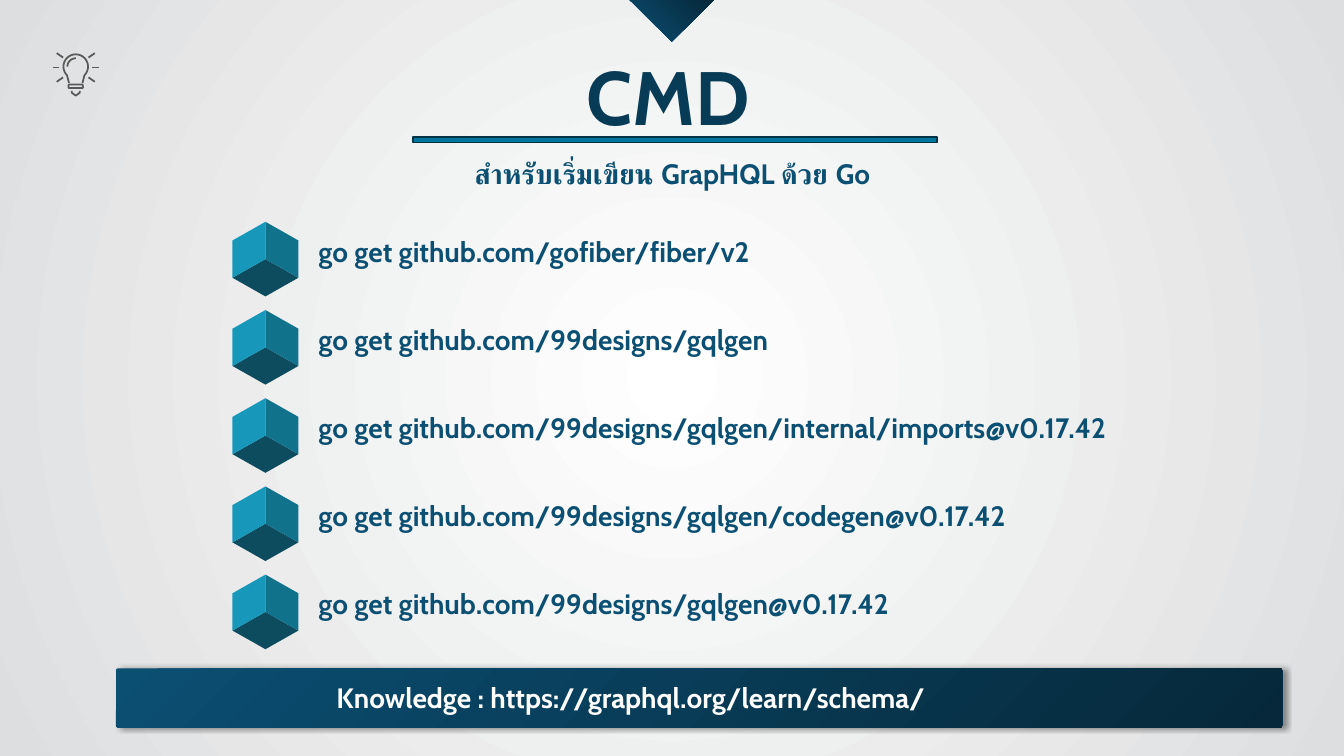
from math import cos, radians, sin

from lxml.etree import SubElement
from pptx import Presentation
from pptx.dml.color import RGBColor
from pptx.enum.shapes import MSO_CONNECTOR, MSO_SHAPE as Shape
from pptx.enum.text import MSO_ANCHOR, MSO_AUTO_SIZE, PP_ALIGN as Align
from pptx.oxml.ns import qn
from pptx.util import Cm, Pt

TITLE = "CMD"
SUBTITLE = "สำหรับเริ่มเขียน GrapHQL ด้วย Go"
COMMANDS = [
    "go get github.com/gofiber/fiber/v2",
    "go get github.com/99designs/gqlgen",
    "go get github.com/99designs/gqlgen/internal/imports@v0.17.42",
    "go get github.com/99designs/gqlgen/codegen@v0.17.42",
    "go get github.com/99designs/gqlgen@v0.17.42",
]
KNOWLEDGE = "Knowledge : https://graphql.org/learn/schema/"

FONT = "Cabin"
COLORS = {
    "title": "083B56", "text": "0B4F73", "deep": "06283A", "white": "FFFFFF",
    "edge": "DDDEDF", "rule": "00759E", "rule_line": "003345", "bulb": "595959",
    "cube_left": "1798BB", "cube_right": "11728C", "cube_floor": "0C4C5E",
}
ROW_PITCH = Pt(63)
LINE_HEIGHT = Pt(24)


def color(name):
    return RGBColor.from_string(COLORS[name])


def set_gradient(fill, first, last):
    fill.gradient()
    for stop, name in zip(fill.gradient_stops, (first, last)):
        stop.color.rgb = color(name)


def outline(shapes, points, closed):
    """Build a flat freeform through points given in centimetres."""
    (x, y), *rest = [(Cm(px), Cm(py)) for px, py in points]
    builder = shapes.build_freeform(x, y, scale=1.0)
    builder.add_line_segments(rest, close=closed)
    shape = builder.convert_to_shape()
    shape.shadow.inherit = False
    return shape


def face(shapes, points):
    shape = outline(shapes, points, True)
    shape.line.fill.background()
    return shape


def pen(shape):
    """Give a bulb part its thin grey line without a fill."""
    shape.fill.background()
    shape.line.color.rgb = color("bulb")
    shape.line.width = Pt(1.25)


def arc(cx, cy, radius, start, end):
    steps = 24
    angles = [radians(start + (end - start) * i / steps) for i in range(steps + 1)]
    return [(cx + radius * cos(a), cy + radius * sin(a)) for a in angles]


def write(paragraph, text, size, name, align=Align.LEFT):
    paragraph.alignment = align
    run = paragraph.add_run()
    run.text = text
    run.font.name = FONT
    run.font.size = Pt(size)
    run.font.bold = True
    run.font.color.rgb = color(name)


def place(shape, left, top, width, height):
    shape.left, shape.top = Cm(left), Cm(top)
    shape.width, shape.height = Cm(width), Cm(height)
    frame = shape.text_frame
    frame.word_wrap = True
    frame.auto_size = MSO_AUTO_SIZE.NONE
    frame.vertical_anchor = MSO_ANCHOR.TOP
    return frame


def add_label(shapes, box, text, name, align=Align.LEFT):
    frame = place(shapes.add_textbox(0, 0, 0, 0), *box)
    write(frame.paragraphs[0], text, 20, name, align)


def add_bulb(shapes, cx=1.91, cy=1.68):
    glass = [(cx - .17, cy + .41)] + arc(cx, cy, .31, 135, 405) + [(cx + .17, cy + .41)]
    glint = arc(cx, cy, .21, 180, 270)
    foot = [(cx + dx, cy + dy) for dx, dy in
            [(-.1, .61), (-.1, .66), (0, .73), (.1, .66), (.1, .61)]]
    for points in (glass, glint, foot):
        pen(outline(shapes, points, False))
    collar = shapes.add_shape(Shape.ROUNDED_RECTANGLE,
                              Cm(cx - .18), Cm(cy + .45), Cm(.36), Cm(.09))
    collar.shadow.inherit = False
    pen(collar)
    for side in (-1, 1):
        for dx, dy, end_dx, end_dy in [(.32, -.23, .48, -.34), (.42, .02, .58, .02),
                                       (.32, .27, .48, .38)]:
            ray = shapes.add_connector(
                MSO_CONNECTOR.STRAIGHT, Cm(cx + side * dx), Cm(cy + dy),
                Cm(cx + side * end_dx), Cm(cy + end_dy))
            ray.line.color.rgb = color("bulb")
            ray.line.width = Pt(1.25)
            SubElement(ray._element.spPr, qn("a:effectLst"))


def add_cube(shapes, cx, top, half=.83, rise=.47):
    edge = 2 * rise
    middle = (cx, top + edge)
    bottom = (cx, top + 2 * edge)
    group = shapes.add_group_shape().shapes
    corners = {side: (cx + side * half, top + rise + edge) for side in (-1, 1)}
    floor = face(group, [middle, corners[1], bottom, corners[-1]])
    floor.fill.solid()
    floor.fill.fore_color.rgb = color("cube_floor")
    for side, name in ((1, "cube_right"), (-1, "cube_left")):
        wall = face(group, [(cx, top), middle, corners[side],
                            (cx + side * half, top + rise)])
        wall.fill.solid()
        wall.fill.fore_color.rgb = color(name)


def add_banner(shapes):
    banner = shapes.add_shape(Shape.ROUNDED_RECTANGLE,
                              Cm(2.92), Cm(16.84), Cm(29.39), Cm(1.5))
    banner.adjustments[0] = .04
    set_gradient(banner.fill, "text", "deep")
    banner.fill.gradient_angle = 315
    banner.line.fill.background()
    effects = SubElement(banner._element.spPr, qn("a:effectLst"))
    shadow = SubElement(effects, qn("a:outerShdw"), blurRad=str(Pt(4)),
                        dist=str(Pt(3)), dir="0", algn="l", rotWithShape="0")
    black = SubElement(shadow, qn("a:srgbClr"), val="000000")
    SubElement(black, qn("a:alpha"), val="40000")


def set_background(slide):
    """Shade the slide outwards from its centre."""
    set_gradient(slide.background.fill, "white", "edge")
    gradient = slide._element.find(".//" + qn("a:gradFill"))
    gradient.remove(gradient.find(qn("a:lin")))
    circle = SubElement(gradient, qn("a:path"), path="circle")
    SubElement(circle, qn("a:fillToRect"), l="50000", t="50000", r="50000", b="50000")


def main():
    deck = Presentation()
    deck.slide_width, deck.slide_height = Cm(33.87), Cm(19.05)
    slide = deck.slides.add_slide(deck.slide_layouts[1])
    shapes = slide.shapes
    set_background(slide)

    pointer = face(shapes, [(15.87, 0), (17.99, 0), (16.93, 1.05)])
    set_gradient(pointer.fill, "text", "deep")
    pointer.fill.gradient_angle = 45

    title = place(shapes.title, 10.41, 1.14, 12.85, 2.57)
    write(title.paragraphs[0], TITLE, 54, "title", Align.CENTER)
    add_bulb(shapes)
    add_label(shapes, (11, 3.81, 11.89, 1.12), SUBTITLE, "text", Align.CENTER)

    rule = shapes.add_shape(Shape.RECTANGLE, Cm(10.41), Cm(3.45), Cm(13.21), Cm(.15))
    rule.shadow.inherit = False
    rule.fill.solid()
    rule.fill.fore_color.rgb = color("rule")
    rule.line.color.rgb = color("rule_line")
    rule.line.width = Pt(1)

    commands = place(slide.placeholders[1], 7.77, 5.77, 25.58, 10)
    for row, command in enumerate(COMMANDS):
        add_cube(shapes, 6.69, 5.59 + row * ROW_PITCH.cm)
        paragraph = commands.add_paragraph() if row else commands.paragraphs[0]
        properties = paragraph._p.get_or_add_pPr()
        properties.set("marL", "0")
        properties.set("indent", "0")
        SubElement(properties, qn("a:buNone"))
        paragraph.line_spacing = LINE_HEIGHT
        paragraph.space_before = ROW_PITCH - LINE_HEIGHT if row else Pt(0)
        write(paragraph, command, 20, "text")

    add_banner(shapes)
    add_label(shapes, (8.23, 17.02, 20.78, 1.12), KNOWLEDGE, "white")
    deck.save("out.pptx")


if __name__ == "__main__":
    main()
